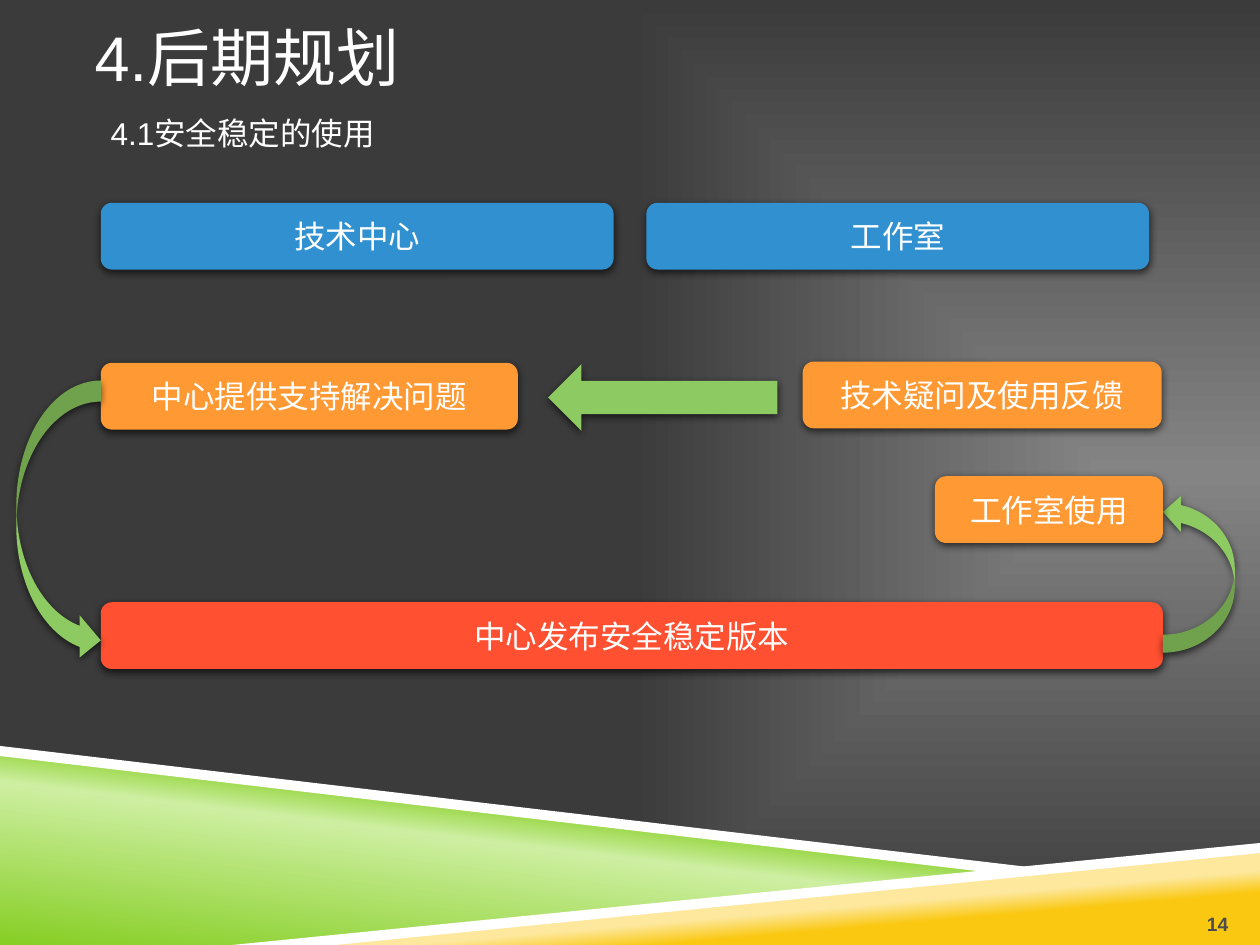
from lxml import etree
from pptx import Presentation
from pptx import util as u
from pptx.dml.color import RGBColor
from pptx.enum import shapes, text
from pptx.oxml.ns import qn

WHITE, BLUE, ORANGE, RED, GREEN = "FFFFFF", "3191D0", "FF9933", "FF5031", "8DCA61"
LIME, PALE, GOLD, CREAM = "86CE24", "CEEFA2", "FAC810", "FDE89E"
ROW = 0.53  # height of every box
KIND = shapes.MSO_SHAPE
ALIGN, ANCHOR = text.PP_ALIGN, text.MSO_ANCHOR


def rgb(code):
    return RGBColor.from_string(code)


def node(parent, tag, **attrs):
    return etree.SubElement(parent, qn(tag), {k: str(v) for k, v in attrs.items()})


def tint(parent, code, alpha=100):
    clr = node(parent, "a:srgbClr", val=code)
    if alpha < 100:
        node(clr, "a:alpha", val=alpha * 1000)


def blend(parent, stops, index):
    """Insert a gradient fill at index and return it for its direction."""
    grad = node(parent, "a:gradFill", rotWithShape=1)
    parent.insert(index, grad)
    group = node(grad, "a:gsLst")
    for pos, code in stops:
        tint(node(group, "a:gs", pos=pos * 1000), code)
    return grad


def shade(shape):
    effects = node(shape._element.spPr, "a:effectLst")
    drop = node(effects, "a:outerShdw", blurRad=u.Pt(4.5), dist=u.Pt(1.5),
                dir=90 * 60000, rotWithShape=0)
    tint(drop, "000000", 63)


def write(shape, words, size=18, color=WHITE, bold=False, align=ALIGN.LEFT,
          anchor=ANCHOR.TOP, inset=(0.1, 0.05, 0.1, 0.05)):
    frame = shape.text_frame
    sides = [u.Inches(n) for n in inset]
    look = dict(zip(("margin_left", "margin_top", "margin_right", "margin_bottom"), sides),
                word_wrap=True, auto_size=text.MSO_AUTO_SIZE.NONE, vertical_anchor=anchor)
    for key, val in look.items():
        setattr(frame, key, val)
    para = frame.paragraphs[0]
    para.alignment = align
    run = para.add_run()
    run.text = words
    for key, val in dict(name="Arial", size=u.Pt(size), bold=bold).items():
        setattr(run.font, key, val)
    run.font.color.rgb = rgb(color)


def place(shape, *box):
    for key, val in zip(("left", "top", "width", "height"), box):
        setattr(shape, key, u.Inches(val))


def label(slide, box, words, **look):
    write(slide.shapes.add_textbox(*map(u.Inches, box)), words, **look)


def block(slide, kind, box, color):
    shape = slide.shapes.add_shape(kind, *map(u.Inches, box))
    shape.fill.solid()
    shape.fill.fore_color.rgb = rgb(color)
    shape.line.fill.background()
    shade(shape)
    return shape


def step(slide, left, top, width, color, words):
    shape = block(slide, KIND.ROUNDED_RECTANGLE, (left, top, width, ROW), color)
    write(shape, words, align=ALIGN.CENTER, anchor=ANCHOR.MIDDLE)


def band(slide, points, stops=None, angle=0):
    """Draw a polygon, white unless gradient stops are given."""
    spots = [(u.Inches(x), u.Inches(y)) for x, y in points]
    pen = slide.shapes.build_freeform(*spots[0])
    pen.add_line_segments(spots[1:], close=True)
    shape = pen.convert_to_shape()
    shape.shadow.inherit = False
    shape.line.fill.background()
    if stops:
        node(blend(shape._element.spPr, stops, 2), "a:lin", ang=angle * 60000, scaled=0)
    else:
        shape.fill.solid()
        shape.fill.fore_color.rgb = rgb(WHITE)


def backdrop(slide):
    slide.background.fill.solid()
    props = slide._element.find(".//" + qn("p:bgPr"))
    props.remove(props[0])
    grad = blend(props, [(0, "848484"), (100, "3B3B3B")], 0)
    glow = node(grad, "a:path", path="rect")
    node(glow, "a:fillToRect", l=100000, t=50000, r=0, b=50000)


def footer(slide):
    band(slide, [(0, 5.97), (7.92, 6.92), (2, 7.5), (0, 7.5)],
         [(0, LIME), (52, PALE), (66, LIME), (100, LIME)], 277)
    band(slide, [(1.98, 7.5), (10, 6.72), (10, 7.5)],
         [(0, GOLD), (28, GOLD), (40, CREAM), (60, CREAM), (72, GOLD), (100, GOLD)], 85)
    band(slide, [(0, 5.92), (0, 6), (7.9, 6.93), (8.32, 6.9)])
    band(slide, [(10, 6.69), (1.84, 7.5), (2.66, 7.5), (10, 6.77)])


def main():
    deck = Presentation()
    deck.slide_width, deck.slide_height = u.Inches(10), u.Inches(7.5)
    slide = deck.slides.add_slide(deck.slide_layouts[5])
    backdrop(slide)
    footer(slide)

    # Headings and page number
    title = slide.shapes.title
    place(title, 0.75, 0, 8.04, 0.9)
    write(title, "4.后期规划", size=36, anchor=ANCHOR.MIDDLE, inset=(0, 0.05, 0, 0.05))
    label(slide, (0.78, 0.86, 2.32, 0.4), "4.1安全稳定的使用")
    label(slide, (9.25, 7.02, 0.5, 0.4), "14", size=11, color="4D4D4D", bold=True,
          align=ALIGN.RIGHT, anchor=ANCHOR.BOTTOM, inset=(0, 0.05, 0, 0))

    # Column heads and process steps
    for item in (
        (0.8, 1.61, 4.07, BLUE, "技术中心"),
        (5.13, 1.61, 3.99, BLUE, "工作室"),
        (0.8, 2.88, 3.31, ORANGE, "中心提供支持解决问题"),
        (6.37, 2.87, 2.85, ORANGE, "技术疑问及使用反馈"),
        (0.8, 4.78, 8.43, RED, "中心发布安全稳定版本"),
    ):
        step(slide, *item)

    # Flow arrows
    block(slide, KIND.LEFT_ARROW, (4.35, 2.89, 1.82, ROW), GREEN)
    block(slide, KIND.CURVED_RIGHT_ARROW, (0.13, 3.02, 0.67, 2.23), GREEN)
    back = block(slide, KIND.CURVED_RIGHT_ARROW, (9.23, 3.92, 0.57, 1.26), GREEN)
    back.rotation = 180
    step(slide, 7.42, 3.78, 1.81, ORANGE, "工作室使用")

    deck.save("out.pptx")


if __name__ == "__main__":
    main()
